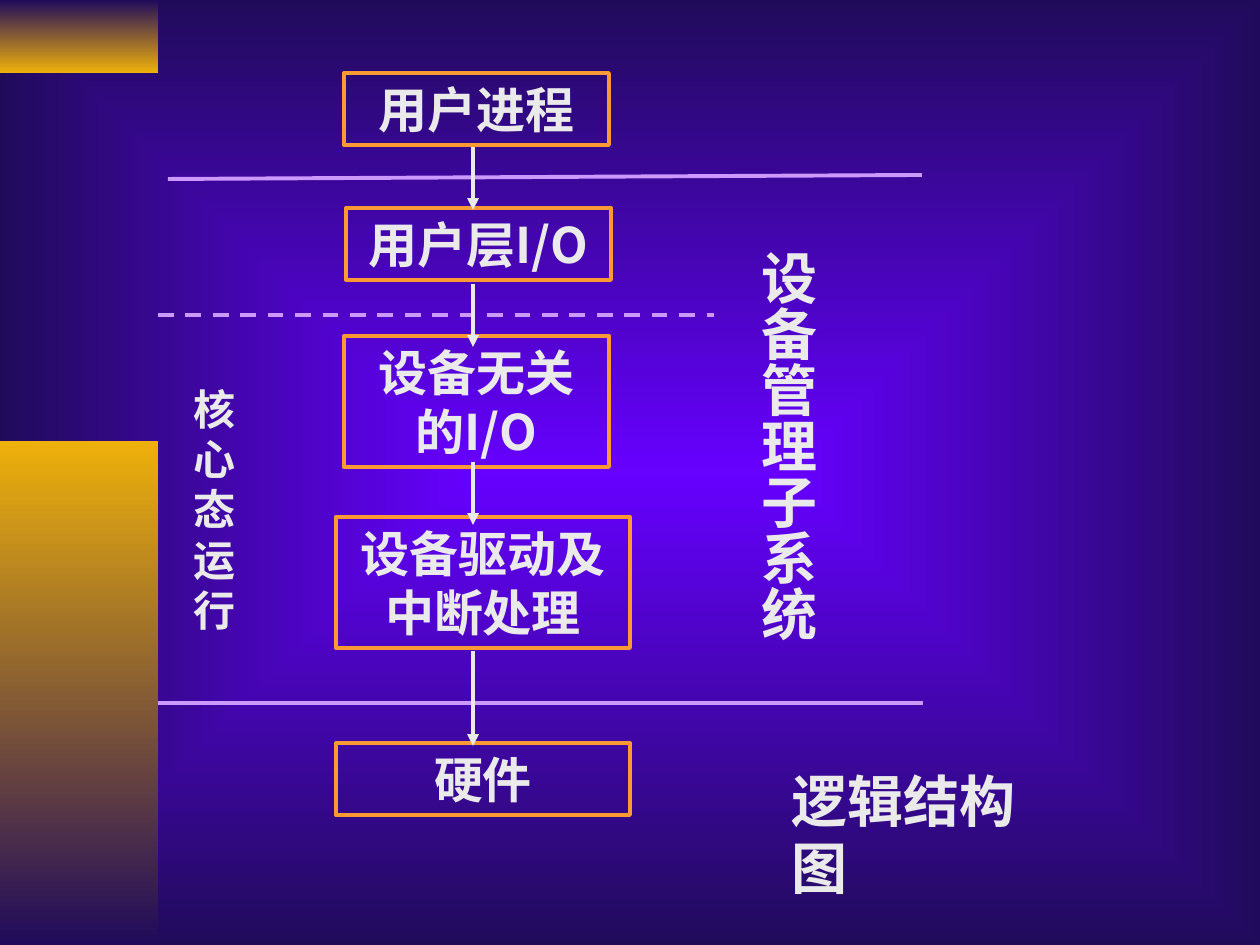
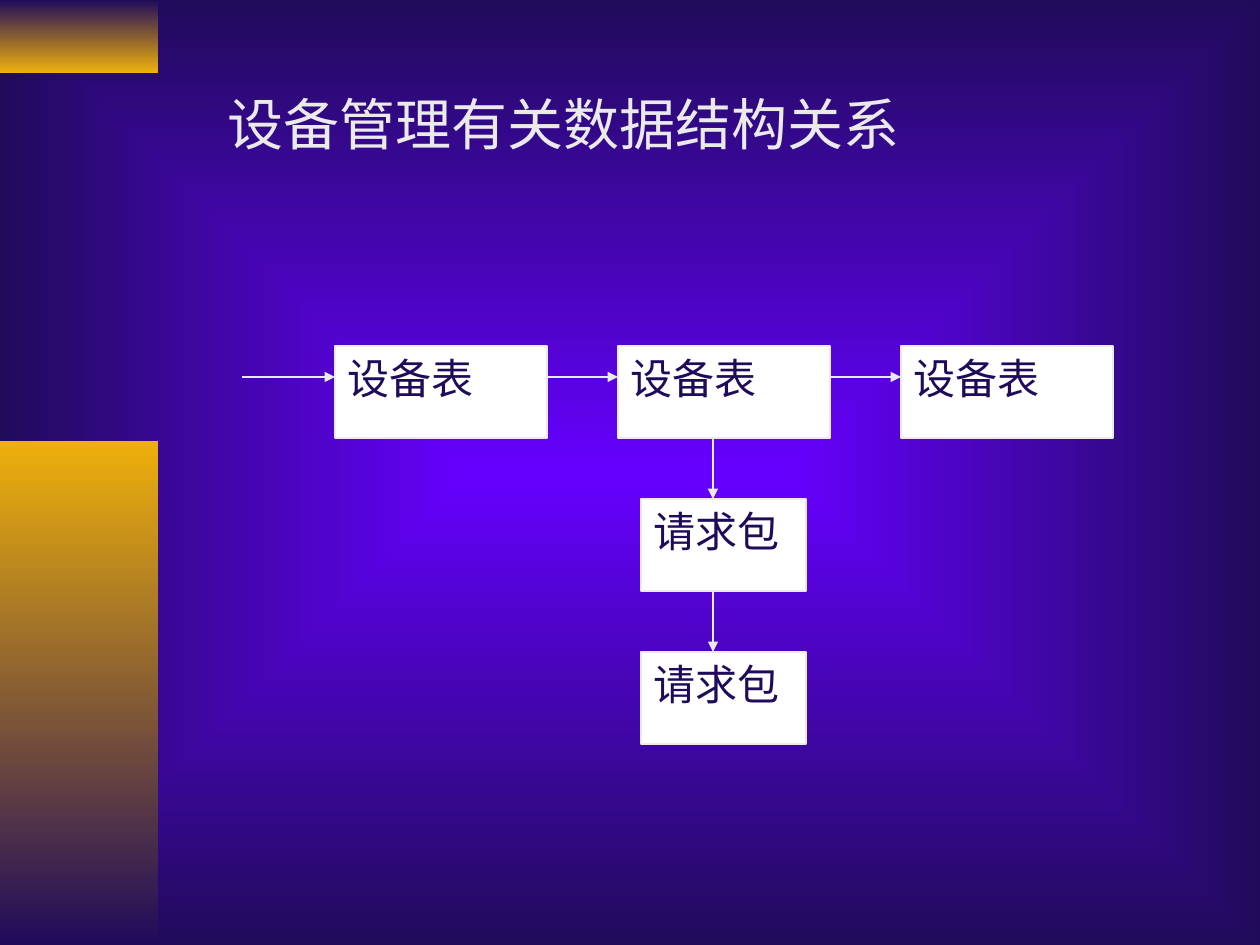
from itertools import pairwise

from pptx import Presentation
from pptx.dml.color import RGBColor
from pptx.enum.dml import MSO_LINE
from pptx.enum.shapes import MSO_CONNECTOR, MSO_SHAPE
from pptx.enum.text import MSO_ANCHOR, MSO_AUTO_SIZE, PP_ALIGN
from pptx.oxml.ns import qn
from pptx.util import Emu, Pt
from lxml.etree import SubElement

SIZE = (1260, 945)
HUES = {
    "glow": "6600FF", "navy": "200B5B", "gold": "EEB00B", "pale": "EAEAEA",
    "edge": "FF9933", "rule": "CC99FF", "white": "FFFFFF",
}
SANS, SERIF = "Noto Sans CJK SC", "Times New Roman"

# Left, top, width, height, then upper and lower hue
BANDS = [((0, 0, 158, 73), "navy", "gold"), ((0, 441, 158, 504), "gold", "navy")]

STYLES = {
    "head": dict(name=SANS, size=Pt(32), bold=False, hue="pale"),
    "bold": dict(name=SANS, size=Pt(32), bold=True, hue="pale"),
    "layer": dict(name=SANS, size=Pt(28), bold=True, hue="pale"),
    "mode": dict(name=SERIF, size=Pt(24), bold=True, hue="pale"),
    "node": dict(name=SERIF, size=Pt(24), bold=False, hue="navy"),
}

LOGIC = ("逻辑结构图", (779, 760, 305, 81))
LAYERS = [
    ("用户进程", (344, 73, 265, 72)),
    ("用户层I/O", (346, 208, 265, 72)),
    ("设备无关的I/O", (344, 336, 265, 131)),
    ("设备驱动及中断处理", (336, 517, 294, 131)),
    ("硬件", (336, 743, 294, 72)),
]
RULES = [
    ((158, 703, 923, 703), None),
    ((168, 179, 922, 175), None),
    ((158, 315, 714, 315), MSO_LINE.DASH),
]
FLOW_X = 473
FLOWS = [(147, 210), (284, 347), (462, 525), (651, 746)]
SYSTEM = ("设备管理子系统", (735, 237, 92, 406))
MODE = ("核心态运行", (181, 377, 71, 265))

DATA = ("设备管理有关数据结构关系", (215, 83, 711, 81))
TABLES = ["设备表"] * 3
PACKETS = ["请求包"] * 2
TABLE = dict(left=335, top=346, wide=212, step=283)
PACKET = dict(left=641, wide=165, step=153)
TALL = 92
ENTRY, LINK_X, LINK_Y = 242, 713, 377


def px(*nums):
    return [Emu(round(n * 914400 / 126)) for n in nums]


def hue(name):
    return RGBColor.from_string(HUES[name])


def blend(fill, first, last):
    fill.gradient()
    for stop, name in zip(fill.gradient_stops, (first, last)):
        stop.color.rgb = hue(name)


def write(shape, text, style, align=PP_ALIGN.LEFT, wrap=True, fit=False):
    frame = shape.text_frame
    look = dict(
        word_wrap=wrap,
        auto_size=MSO_AUTO_SIZE.SHAPE_TO_FIT_TEXT if fit else MSO_AUTO_SIZE.NONE,
        vertical_anchor=MSO_ANCHOR.TOP,
    )
    for key, value in look.items():
        setattr(frame, key, value)
    para = frame.paragraphs[0]
    para.alignment = align
    run = para.add_run()
    run.text = text
    for key, value in STYLES[style].items():
        if key == "hue":
            run.font.color.rgb = hue(value)
        else:
            setattr(run.font, key, value)
    SubElement(run.font._element, qn("a:ea"), typeface=SANS)
    return frame


def panel(slide, place):
    shape = slide.shapes.add_shape(MSO_SHAPE.RECTANGLE, *px(*place))
    shape.shadow.inherit = False
    return shape


def box(slide, text, place, style, align, edge, width, fill=None):
    shape = panel(slide, place)
    if fill:
        shape.fill.solid()
        shape.fill.fore_color.rgb = hue(fill)
    else:
        shape.fill.background()
    shape.line.color.rgb = hue(edge)
    shape.line.width = Pt(width)
    write(shape, text, style, align)


def label(slide, text, place, style, **opts):
    shape = slide.shapes.add_textbox(*px(*place))
    return write(shape, text, style, **opts)


def link(slide, ends, color, width, dash=None, arrow=False):
    wire = slide.shapes.add_connector(MSO_CONNECTOR.STRAIGHT, *px(*ends))
    wire.line.color.rgb = hue(color)
    wire.line.width = Pt(width)
    if dash:
        wire.line.dash_style = dash
    props = wire.element.spPr
    if arrow:
        SubElement(props.find(qn("a:ln")), qn("a:tailEnd"), type="triangle")
    SubElement(props, qn("a:effectLst"))


def start(deck, title, style):
    slide = deck.slides.add_slide(deck.slide_layouts.get_by_name("Title Only"))
    text, place = title
    head = slide.shapes.title
    head.left, head.top, head.width, head.height = px(*place)
    write(head, text, style, wrap=False, fit=True)
    return slide


def dress(deck, slide):
    """Put the glow and the gold bands on the master, drawing on the slide first."""
    master = deck.slide_master
    blend(master.background.fill, "glow", "navy")
    lin = master.element.find(".//" + qn("a:lin"))
    grad = lin.getparent()
    grad.remove(lin)
    glow = SubElement(grad, qn("a:path"), path="rect")
    SubElement(glow, qn("a:fillToRect"), dict.fromkeys("ltrb", "50000"))
    for place, first, last in BANDS:
        band = panel(slide, place)
        blend(band.fill, first, last)
        band.fill.gradient_angle = 270
        band.line.fill.background()
        master.shapes.element.append(band.element)


def logic(slide):
    for text, place in LAYERS:
        box(slide, text, place, "layer", PP_ALIGN.CENTER, "edge", 2.25)
    for ends, dash in RULES:
        link(slide, ends, "rule", 2.25, dash)
    for top, low in FLOWS:
        link(slide, (FLOW_X, top, FLOW_X, low), "pale", 2.25, arrow=True)
    frame = label(slide, *SYSTEM, "bold", wrap=False, fit=True)
    body = frame._element.bodyPr
    body.set("vert", "eaVert")
    for key, gap in zip(("left", "top", "right", "bottom"), (6, 13, 6, 13)):
        setattr(frame, f"margin_{key}", px(gap)[0])
    label(slide, *MODE, "mode")


def data(slide):
    def node(text, left, top, wide):
        box(slide, text, (left, top, wide, TALL), "node", PP_ALIGN.JUSTIFY,
            "pale", 0.75, "white")

    def arrow(*ends):
        link(slide, ends, "pale", 0.75, arrow=True)

    tail = ENTRY
    for i, text in enumerate(TABLES):
        left = TABLE["left"] + i * TABLE["step"]
        node(text, left, TABLE["top"], TABLE["wide"])
        arrow(tail, LINK_Y, left, LINK_Y)
        tail = left + TABLE["wide"]

    tops = [TABLE["top"] + i * PACKET["step"] for i in range(len(PACKETS) + 1)]
    for text, (above, top) in zip(PACKETS, pairwise(tops)):
        node(text, PACKET["left"], top, PACKET["wide"])
        arrow(LINK_X, above + TALL, LINK_X, top)


def main():
    deck = Presentation()
    deck.slide_width, deck.slide_height = px(*SIZE)
    first = start(deck, LOGIC, "bold")
    dress(deck, first)
    logic(first)
    data(start(deck, DATA, "head"))
    deck.save("out.pptx")


if __name__ == "__main__":
    main()
